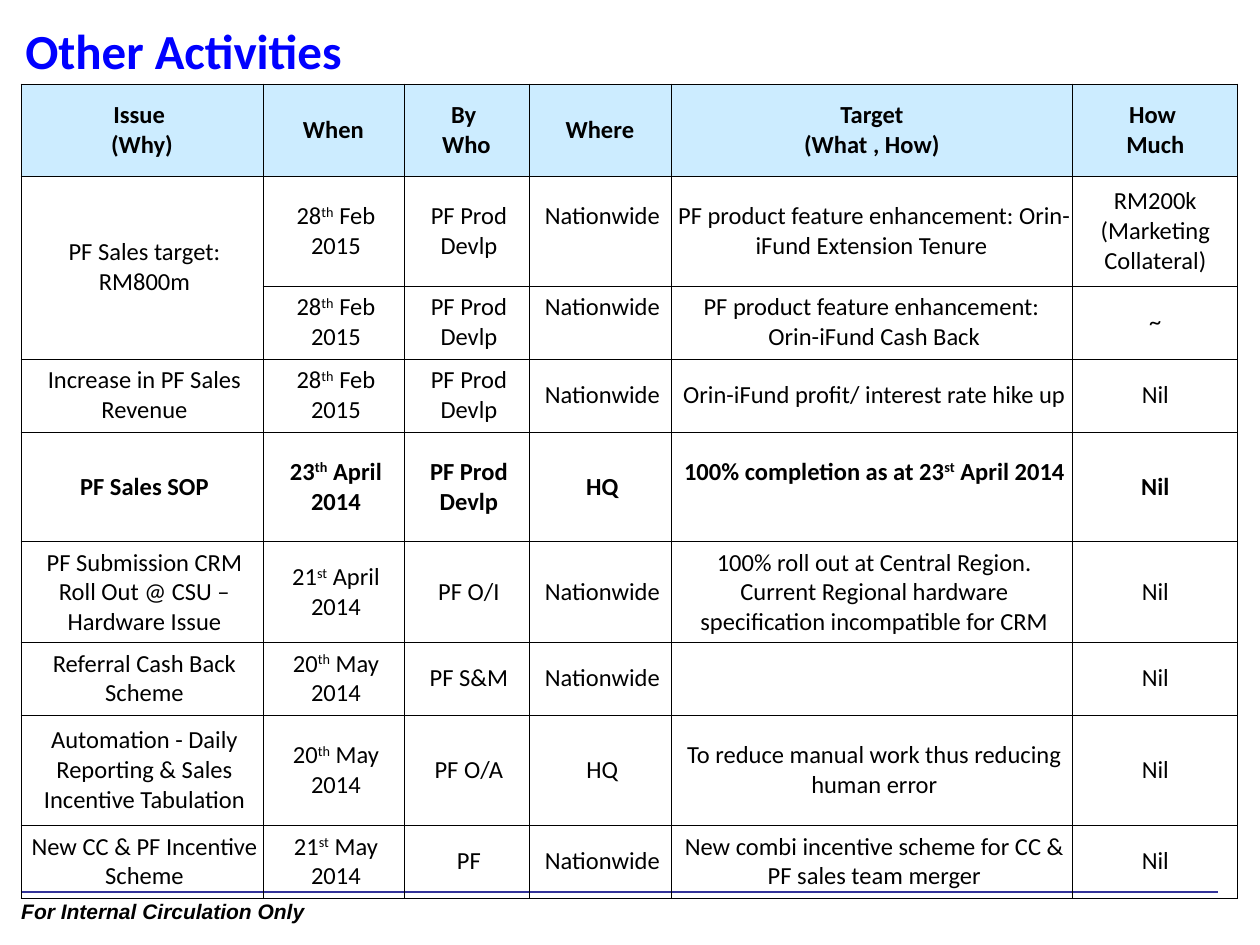
"""Build the "Other Activities" slide with its plan table."""
from lxml import etree
from pptx import Presentation
from pptx.dml.color import RGBColor
from pptx.enum.shapes import MSO_CONNECTOR
from pptx.enum.text import MSO_ANCHOR, PP_ALIGN
from pptx.oxml.ns import qn
from pptx.util import Pt

LEFT, CENTER = PP_ALIGN.LEFT, PP_ALIGN.CENTER
MIDDLE = MSO_ANCHOR.MIDDLE
STRAIGHT = MSO_CONNECTOR.STRAIGHT
color = RGBColor.from_string


def px(n):
    return round(n * 914400 / 126)


def write(frame, text, size=14, font="Calibri", hue="000000", bold=False,
          italic=False, align=CENTER):
    """Write one paragraph per line; parts between carets are raised."""
    frame.word_wrap = True
    for i, line in enumerate(text.split("\n")):
        para = frame.paragraphs[0] if i == 0 else frame.add_paragraph()
        para.alignment = align
        for j, part in enumerate(line.split("^")):
            run = para.add_run()
            run.text = part
            run.font.size = Pt(size)
            run.font.name = font
            run.font.bold = bold
            run.font.italic = italic
            run.font.color.rgb = color(hue)
            if j % 2:
                run._r.get_or_add_rPr().set("baseline", "30000")


HEAD = ["Issue \n(Why)", "When", "By \nWho", "Where",
        "Target\n(What , How)", "How \nMuch"]
FEB, PROD, ALL = "28^th^ Feb 2015", "PF Prod Devlp", "Nationwide"
PLANS = [
    ["PF Sales target: RM800m", FEB, PROD, ALL,
     "PF product feature enhancement: Orin-iFund Extension Tenure ",
     "RM200k (Marketing Collateral)"],
    ["", FEB, PROD, ALL,
     "PF product feature enhancement: \nOrin-iFund Cash Back", "~"],
    ["Increase in PF Sales Revenue", FEB, PROD, ALL,
     "Orin-iFund profit/ interest rate hike up", "Nil"],
    ["PF Sales SOP", "23^th^ April 2014", PROD, "HQ",
     "100% completion as at 23^st^ April 2014", "Nil"],
    ["PF Submission CRM Roll Out @ CSU –Hardware Issue",
     "21^st^ April 2014", "PF O/I", ALL,
     "100% roll out at Central Region. Current Regional hardware "
     "specification incompatible for CRM", "Nil"],
    ["Referral Cash Back Scheme", "20^th^ May 2014", "PF S&M", ALL, "", "Nil"],
    ["Automation - Daily Reporting & Sales Incentive Tabulation",
     "20^th^ May 2014", "PF O/A", "HQ",
     "To reduce manual work thus reducing human error", "Nil"],
    ["New CC & PF Incentive Scheme", "21^st^ May 2014", "PF", ALL,
     "New combi incentive scheme for CC & PF sales team merger", "Nil"],
]
WIDTHS = [242, 141, 125, 142, 402, 165]
HEIGHTS = [92, 110, 73, 73, 110, 89, 73, 110, 73]
BOLD_ROWS = {0, 4}
RAISED = {(1, 3), (2, 3), (4, 4)}

deck = Presentation()
deck.slide_width, deck.slide_height = px(1260), px(945)
slide = deck.slides.add_slide(deck.slide_layouts[6])
shapes = slide.shapes

rule = shapes.add_connector(STRAIGHT, px(21), px(892), px(1218), px(892))
rule.line.color.rgb = color("333399")
rule.line.width = Pt(0.75)
etree.SubElement(rule._element.spPr, qn("a:effectLst"))

foot = shapes.add_textbox(px(-10), px(892), px(346), px(38))
write(foot.text_frame, "For Internal Circulation Only", size=12,
      font="Arial", bold=True, italic=True)

title = shapes.add_textbox(px(13), px(10), px(798), px(63))
title.text_frame.margin_top = px(10)
write(title.text_frame, "Other Activities", size=28, hue="0000FF",
      bold=True, align=LEFT)

grid = shapes.add_table(len(HEIGHTS), len(WIDTHS), px(21), px(84),
                        px(sum(WIDTHS)), px(sum(HEIGHTS))).table
grid.first_row = grid.horz_banding = False
for col, width in zip(grid.columns, WIDTHS):
    col.width = px(width)
for row, height in zip(grid.rows, HEIGHTS):
    row.height = px(height)
grid.cell(1, 0).merge(grid.cell(2, 0))

for r, texts in enumerate([HEAD] + PLANS):
    for c, text in enumerate(texts):
        cell = grid.cell(r, c)
        cell.vertical_anchor = MIDDLE
        cell.margin_left = px(1 if r == 0 or c == 5 else 6)
        cell.margin_right = px(1)
        cell.margin_top = px(6)
        cell.margin_bottom = px(36 if (r, c) in RAISED else 6)
        props = cell._tc.get_or_add_tcPr()
        for side in ("lnL", "lnR", "lnT", "lnB"):
            edge = etree.SubElement(props, qn(f"a:{side}"), w=str(Pt(0.45)))
            fill = etree.SubElement(edge, qn("a:solidFill"))
            etree.SubElement(fill, qn("a:srgbClr"), val="000000")
        if r == 0:
            cell.fill.solid()
            cell.fill.fore_color.rgb = color("CCECFF")
        else:
            cell.fill.background()
        if text:
            write(cell.text_frame, text, bold=r in BOLD_ROWS)

deck.save("out.pptx")
